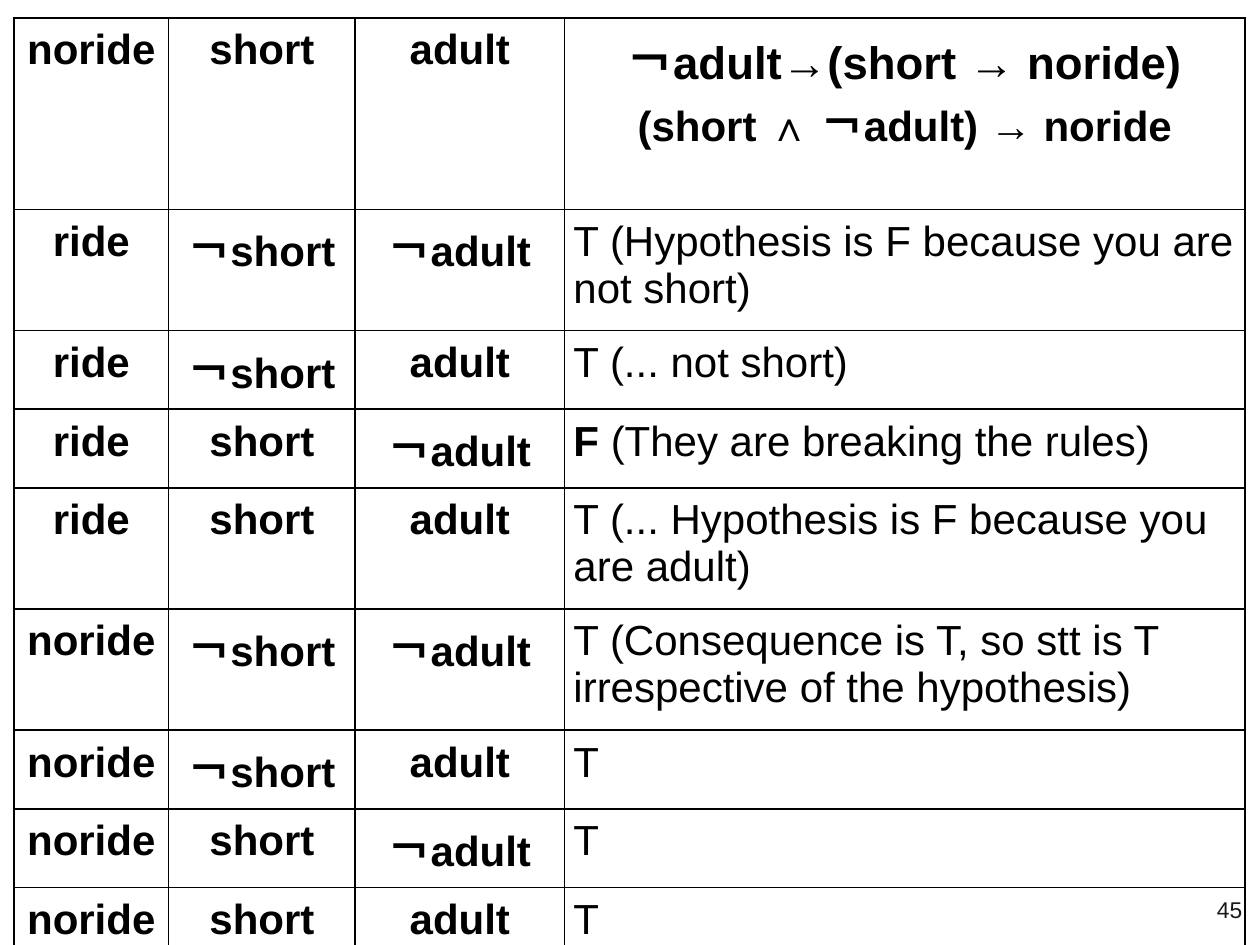
import itertools

import pptx
import pptx.dml.color
import pptx.enum.text
import pptx.oxml
import pptx.oxml.ns
import pptx.util

Cm = pptx.util.Cm
Pt = pptx.util.Pt
ALIGN = pptx.enum.text.PP_ALIGN
ANCHOR = pptx.enum.text.MSO_ANCHOR

FONT = "Arial"
BLACK = "000000"
WHITE = "FFFFFF"
COLUMN_WIDTHS = [3.12, 3.76, 4.22, 13.72]
HEADER_HEIGHT = 3.86
TALL_ROW = 2.44
LOW_ROW = 1.58
LAST_ROW = 2.08
INSET = 0.18

HEADERS = ["noride", "short", "adult"]
FORMULAS = [("￢adult→(short → noride)", 26), ("(short ∧ ￢adult) → noride", 24)]
CASES = itertools.product(["ride", "noride"], ["￢short", "short"], ["￢adult", "adult"])
# Bold lead, plain text and row height for each case
VERDICTS = [
    ("", "T (Hypothesis is F because you are not short)", TALL_ROW),
    ("", "T (... not short)", LOW_ROW),
    ("F ", "(They are breaking the rules)", LOW_ROW),
    ("", "T (... Hypothesis is F because you are adult)", TALL_ROW),
    ("", "T (Consequence is T, so stt is T irrespective of the hypothesis)", TALL_ROW),
    ("", "T", LOW_ROW),
    ("", "T", LOW_ROW),
    ("", "T", LAST_ROW),
]


def color(value):
    return pptx.dml.color.RGBColor.from_string(value)


def add_run(paragraph, text, size=24, bold=False, font_color=BLACK):
    run = paragraph.add_run()
    run.text = text
    run.font.name = FONT
    run.font.size = Pt(size)
    run.font.bold = bold
    run.font.color.rgb = color(font_color)


def set_insets(target, length):
    target.margin_left = target.margin_right = Cm(length)
    target.margin_top = target.margin_bottom = Cm(length)


def format_cell(cell):
    """Give the cell its insets, thin black borders and white fill."""
    set_insets(cell, INSET)
    cell.vertical_anchor = ANCHOR.TOP
    properties = cell._tc.get_or_add_tcPr()
    for side in ("lnL", "lnR", "lnT", "lnB"):
        properties.append(pptx.oxml.parse_xml(
            f'<a:{side} {pptx.oxml.ns.nsdecls("a")} w="{Pt(1)}"><a:solidFill>'
            f'<a:srgbClr val="{BLACK}"/></a:solidFill></a:{side}>'))
    cell.fill.solid()
    cell.fill.fore_color.rgb = color(WHITE)


def write_bold_centred(cell, lines):
    for index, (text, size) in enumerate(lines):
        frame = cell.text_frame
        paragraph = frame.add_paragraph() if index else frame.paragraphs[0]
        paragraph.alignment = ALIGN.CENTER
        add_run(paragraph, text, size, bold=True)


def add_truth_table(slide, left, top):
    heights = [HEADER_HEIGHT] + [height for _, _, height in VERDICTS]
    table = slide.shapes.add_table(
        len(heights), len(COLUMN_WIDTHS), Cm(left), Cm(top),
        Cm(sum(COLUMN_WIDTHS)), Cm(sum(heights))).table
    table.first_row = table.horz_banding = False
    for column, width in zip(table.columns, COLUMN_WIDTHS):
        column.width = Cm(width)
    for row, height in zip(table.rows, heights):
        row.height = Cm(height)
    for cell in table.iter_cells():
        format_cell(cell)

    for row_index, names in enumerate([HEADERS, *CASES]):
        for column_index, name in enumerate(names):
            write_bold_centred(table.cell(row_index, column_index), [(name, 24)])
    write_bold_centred(table.cell(0, 3), FORMULAS)
    for row_index, (lead, text, _) in enumerate(VERDICTS, start=1):
        paragraph = table.cell(row_index, 3).text_frame.paragraphs[0]
        paragraph.alignment = ALIGN.LEFT
        if lead:
            add_run(paragraph, lead, bold=True)
        add_run(paragraph, text)


def add_page_number(slide, left, top, width, height):
    frame = slide.shapes.add_textbox(Cm(left), Cm(top), Cm(width), Cm(height)).text_frame
    frame.word_wrap = True
    frame.vertical_anchor = ANCHOR.MIDDLE
    set_insets(frame, 0.25)
    frame.paragraphs[0].alignment = ALIGN.RIGHT
    add_run(frame.paragraphs[0], "45", size=13, font_color="191919")


def main():
    presentation = pptx.Presentation()
    presentation.slide_width = Cm(25.4)
    presentation.slide_height = Cm(19.05)
    slide = presentation.slides.add_slide(presentation.slide_layouts[6])
    add_truth_table(slide, 0.28, 0.36)
    add_page_number(slide, 23.77, 17.6, 1.52, 1.45)
    presentation.save("out.pptx")


if __name__ == "__main__":
    main()
